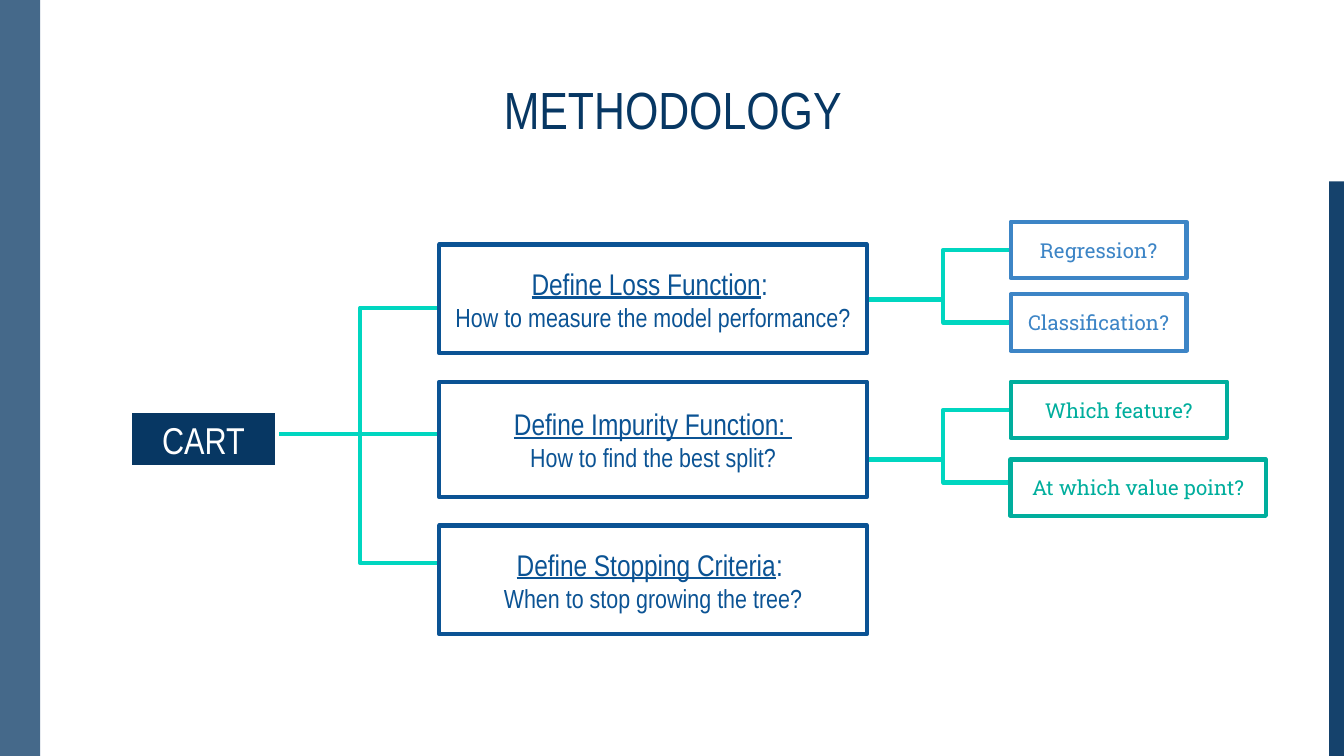
from lxml import etree
from pptx import Presentation
from pptx.dml.color import RGBColor
from pptx.enum import shapes, text
from pptx.oxml import ns
from pptx.util import Pt

NAVY = RGBColor(0x07, 0x37, 0x63)
BLUE = RGBColor(0x0B, 0x53, 0x94)
SKY = RGBColor(0x3D, 0x85, 0xC6)
TEAL = RGBColor(0x00, 0xAE, 0x9D)
AQUA = RGBColor(0x00, 0xD6, 0xC0)
WHITE = RGBColor(0xFF, 0xFF, 0xFF)

NARROW, SLAB = "Arial Narrow", "Roboto Slab"
LINE_WIDTH = 2.25

TITLE = "METHODOLOGY"
ROOT = "CART"
STEPS = [
    ("Define Loss Function", ": ", "How to measure the model performance?", 131, 58.3),
    ("Define Impurity Function: ", "", "How to find the best split?", 204.5, 61.9),
    ("Define Stopping Criteria", ": ", "When to stop growing the tree?", 281.5, 58.3),
]
LEAVES = [
    ("Regression?", SKY, 118.8, 94.3),
    ("Classification?", SKY, 157.7, 94.3),
    ("Which feature?", TEAL, 204.5, 115.9),
    ("At which value point?", TEAL, 246.2, 136.8),
]
BARS = [((0, 0, 21.6, 405), 75), ((712.1, 97.2, 7.9, 307.8), 94)]

ROOT_BOX = (69.8, 220.3, 78.5, 30.2)
STEP_LEFT, STEP_WIDTH = 235.4, 229
LEAF_LEFT, LEAF_HEIGHT = 541.4, 30.2
STEP_RIGHT = STEP_LEFT + STEP_WIDTH
ROOT_RIGHT = ROOT_BOX[0] + ROOT_BOX[2]

FORKS = [
    (ROOT_RIGHT, 232.6, 193, STEP_LEFT, (164.9, 301.7)),
    (STEP_RIGHT, 160.4, 505.4, LEAF_LEFT, (133.9, 172.8)),
    (STEP_RIGHT, 246.2, 505.4, LEAF_LEFT, (219.6, 258.5)),
]


def add_box(slide, box, fill=None, line=None):
    shape = slide.shapes.add_shape(shapes.MSO_SHAPE.RECTANGLE, *map(Pt, box))
    shape.shadow.inherit = False
    if fill is None:
        shape.fill.background()
    else:
        shape.fill.solid()
        shape.fill.fore_color.rgb = fill
    if line is None:
        shape.line.fill.background()
    else:
        shape.line.color.rgb = line
        shape.line.width = Pt(LINE_WIDTH)
    return shape


def write(shape, paragraphs, name, color):
    frame = shape.text_frame
    settings = {"word_wrap": True, "vertical_anchor": text.MSO_ANCHOR.MIDDLE}
    for side in ("left", "top", "right", "bottom"):
        settings[f"margin_{side}"] = Pt(7.2)
    for key, value in settings.items():
        setattr(frame, key, value)
    for index, runs in enumerate(paragraphs):
        paragraph = frame.add_paragraph() if index else frame.paragraphs[0]
        paragraph.alignment = text.PP_ALIGN.CENTER
        for words, size, underline in runs:
            run = paragraph.add_run()
            run.text = words
            style = {"name": name, "size": Pt(size), "underline": underline}
            for key, value in style.items():
                setattr(run.font, key, value)
            run.font.color.rgb = color


def add_line(slide, kind, start, end, trunk=None):
    connector = slide.shapes.add_connector(kind, *map(Pt, start + end))
    connector.line.color.rgb = AQUA
    connector.line.width = Pt(LINE_WIDTH)
    properties = connector._element.spPr
    etree.SubElement(properties, ns.qn("a:effectLst"))
    if trunk is not None:
        share = round((trunk - start[0]) / (end[0] - start[0]) * 100000)
        guides = properties.find(ns.qn("a:prstGeom")).get_or_add_avLst()
        etree.SubElement(guides, ns.qn("a:gd"), name="adj1", fmla=f"val {share}")


def main():
    presentation = Presentation()
    presentation.slide_width, presentation.slide_height = Pt(720), Pt(405)
    slide = presentation.slides.add_slide(presentation.slide_layouts[6])

    for box, opacity in BARS:
        bar = add_box(slide, box, NAVY)
        color = bar._element.spPr.find(".//" + ns.qn("a:srgbClr"))
        etree.SubElement(color, ns.qn("a:alpha"), val=str(opacity * 1000))

    title = slide.shapes.add_textbox(Pt(56.9), Pt(42.5), Pt(607), Pt(31.7))
    write(title, [[(TITLE, 28, False)]], NARROW, NAVY)

    for left, middle, trunk, right, targets in FORKS:
        for target in targets:
            add_line(slide, shapes.MSO_CONNECTOR.ELBOW, (left, middle), (right, target), trunk)
    left, middle, _, right, _ = FORKS[0]
    add_line(slide, shapes.MSO_CONNECTOR.STRAIGHT, (left, middle), (right, middle))

    root = add_box(slide, ROOT_BOX, NAVY, WHITE)
    write(root, [[(ROOT, 20, False)]], NARROW, WHITE)

    for heading, tail, question, top, height in STEPS:
        step = add_box(slide, (STEP_LEFT, top, STEP_WIDTH, height), line=BLUE)
        first = [(heading, 16, True)] + ([(tail, 16, False)] if tail else [])
        write(step, [first, [(question, 14, False)]], NARROW, BLUE)

    for label, color, top, width in LEAVES:
        leaf = add_box(slide, (LEAF_LEFT, top, width, LEAF_HEIGHT), line=color)
        write(leaf, [[(label, 11, False)]], SLAB, color)

    presentation.save("out.pptx")


if __name__ == "__main__":
    main()
